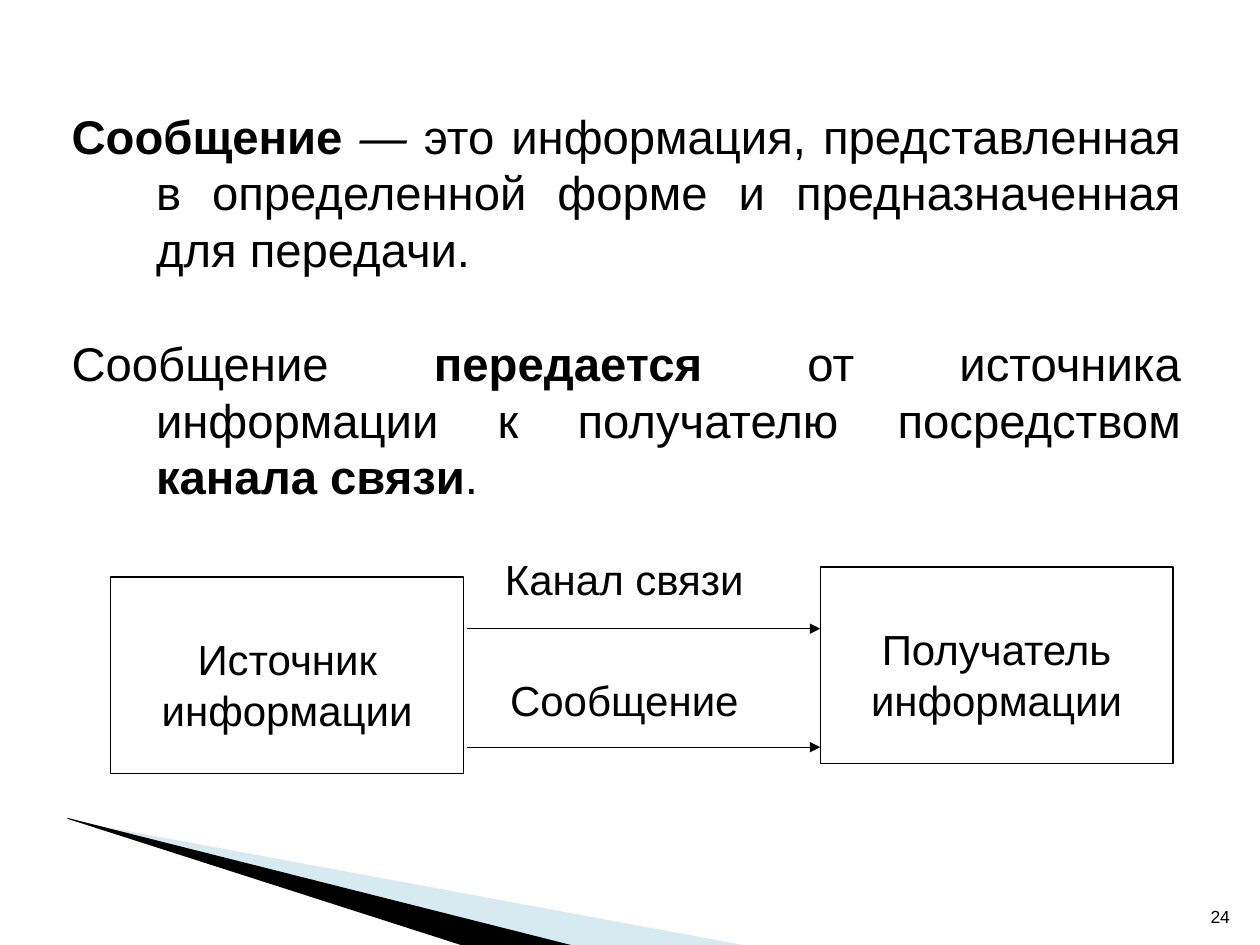
from typing import NamedTuple

from lxml.etree import SubElement
from pptx import Presentation
from pptx.dml.color import RGBColor
from pptx.enum.shapes import MSO_CONNECTOR, MSO_SHAPE
from pptx.enum.text import MSO_ANCHOR, PP_ALIGN
from pptx.oxml.ns import qn
from pptx.util import Inches, Pt

BLACK = RGBColor(0, 0, 0)
WHITE = RGBColor(255, 255, 255)
PALE_BLUE = RGBColor(0x9F, 0xCB, 0xDC)
FONT = "Arial"
COLUMNS, ROWS = 100, 75
CELL = Inches(0.1)


class Area(NamedTuple):
    column: float
    row: float
    columns: float
    rows: float


class Span(NamedTuple):
    text: str
    bold: bool = False
    italic: bool = False


class Block(NamedTuple):
    area: Area
    lines: tuple[str, ...]
    outlined: bool
    top_inset: float


class Wedge(NamedTuple):
    points: tuple[tuple[float, float], ...]
    color: RGBColor
    opacity: int


WEDGES = (
    Wedge(((5.5, 65.1), (59.5, 75.1), (45.6, 75.1), (5.5, 65)), PALE_BLUE, 40),
    Wedge(((5.3, 64.9), (45.7, 75.1), (37.2, 75.2), (5.4, 65)), BLACK, 100),
)
DEFINITIONS = (
    (
        Span("Сообщение", bold=True),
        Span(" —", italic=True),
        Span(" это информация, представленная в определенной форме и предназначенная для передачи."),
    ),
    (
        Span("Сообщение "),
        Span("передается", bold=True),
        Span(" от источника информации к получателю посредством "),
        Span("канала связи", bold=True),
        Span("."),
    ),
)
CHANNEL_START, CHANNEL_END = 37.1, 65.1
ARROW_ROWS = (49.9, 59.3)
BLOCKS = (
    Block(Area(8.8, 45.8, 28, 15.6), ("Источник", "информации"), True, 4.5),
    Block(Area(CHANNEL_START, 43.4, 24.9, 6.2), ("Канал связи",), False, 0.5),
    Block(Area(CHANNEL_START, 53, 24.9, 6.2), ("Сообщение",), False, 0.5),
    Block(Area(CHANNEL_END, 45, 28, 15.6), ("Получатель", "информации"), True, 4.5),
)


def grid(cells: float) -> int:
    return round(cells * CELL)


def place(area: Area) -> list[int]:
    return [grid(cells) for cells in area]


def style(paragraph, size: float, alignment: PP_ALIGN) -> None:
    paragraph.alignment = alignment
    paragraph.font.name = FONT
    paragraph.font.size = Pt(size)
    paragraph.font.color.rgb = BLACK


def draw_wedge(slide, wedge: Wedge) -> None:
    points = [(grid(column), grid(row)) for column, row in wedge.points]
    builder = slide.shapes.build_freeform(*points[0])
    builder.add_line_segments(points[1:], close=True)
    shape = builder.convert_to_shape()
    shape.shadow.inherit = False
    shape.fill.solid()
    shape.fill.fore_color.rgb = wedge.color
    shape.line.fill.background()
    if wedge.opacity < 100:
        color = shape.fill._xPr.find(qn("a:solidFill"))[0]
        SubElement(color, qn("a:alpha"), val=str(wedge.opacity * 1000))


def draw_definitions(slide) -> None:
    shape = slide.shapes.add_textbox(*place(Area(4.7, 8, 90, 39.4)))
    frame = shape.text_frame
    frame.word_wrap = True
    for index, spans in enumerate(DEFINITIONS):
        paragraph = frame.add_paragraph() if index else frame.paragraphs[0]
        properties = paragraph._p.get_or_add_pPr()
        properties.set("marL", str(grid(6.7)))
        properties.set("indent", str(-grid(6.7)))
        style(paragraph, 27, PP_ALIGN.JUSTIFY)
        if index:
            paragraph.space_before = Pt(32.5)
        for span in spans:
            run = paragraph.add_run()
            run.text = span.text
            run.font.bold = span.bold
            run.font.italic = span.italic


def draw_number(slide) -> None:
    shape = slide.shapes.add_textbox(*place(Area(94.6, 70.1, 4, 4)))
    frame = shape.text_frame
    frame.word_wrap = True
    frame.vertical_anchor = MSO_ANCHOR.BOTTOM
    frame.text = "24"
    style(frame.paragraphs[0], 10, PP_ALIGN.RIGHT)


def draw_arrow(slide, row: float) -> None:
    arrow = slide.shapes.add_connector(
        MSO_CONNECTOR.STRAIGHT, grid(CHANNEL_START), grid(row), grid(CHANNEL_END), grid(row)
    )
    arrow.line.color.rgb = BLACK
    arrow.line.width = Pt(0.75)
    SubElement(arrow.line._get_or_add_ln(), qn("a:tailEnd"), type="triangle")
    SubElement(arrow._element.spPr, qn("a:effectLst"))


def draw_block(slide, block: Block) -> None:
    shape = slide.shapes.add_shape(MSO_SHAPE.RECTANGLE, *place(block.area))
    shape.shadow.inherit = False
    shape.fill.solid()
    shape.fill.fore_color.rgb = WHITE
    if block.outlined:
        shape.line.color.rgb = BLACK
        shape.line.width = Pt(0.75)
    else:
        shape.line.fill.background()
    frame = shape.text_frame
    frame.word_wrap = True
    frame.vertical_anchor = MSO_ANCHOR.TOP
    frame.margin_top = grid(block.top_inset)
    frame.text = "\n".join(block.lines)
    for paragraph in frame.paragraphs:
        style(paragraph, 24, PP_ALIGN.CENTER)


def main() -> None:
    presentation = Presentation()
    presentation.slide_width = grid(COLUMNS)
    presentation.slide_height = grid(ROWS)
    slide = presentation.slides.add_slide(presentation.slide_layouts[6])
    for wedge in WEDGES:
        draw_wedge(slide, wedge)
    draw_definitions(slide)
    draw_number(slide)
    for row in ARROW_ROWS:
        draw_arrow(slide, row)
    for block in BLOCKS:
        draw_block(slide, block)
    presentation.save("out.pptx")


if __name__ == "__main__":
    main()
